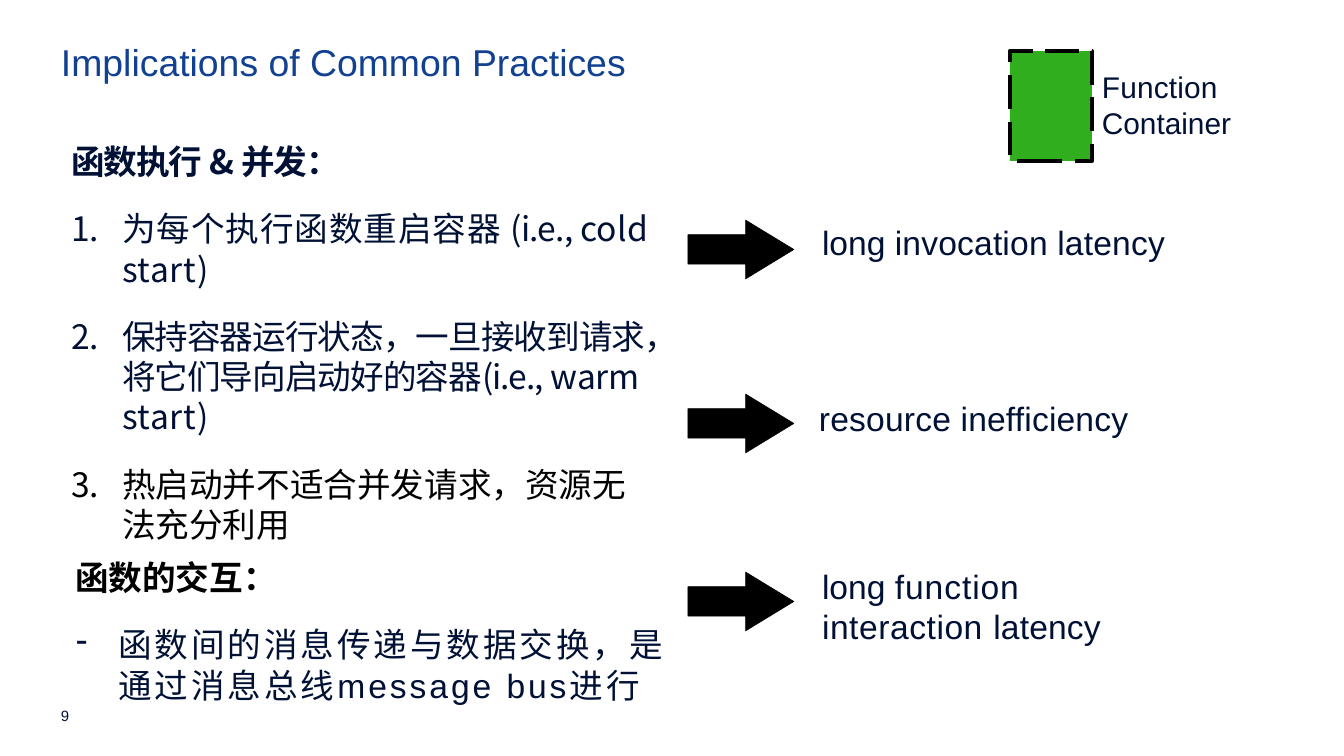
from dataclasses import dataclass

from lxml.etree import SubElement
from pptx import Presentation
from pptx.dml.color import RGBColor as Rgb
from pptx.enum.dml import MSO_LINE_DASH_STYLE as Dash
from pptx.enum.shapes import MSO_SHAPE as Kind
from pptx.oxml.ns import qn
from pptx.util import Pt

SCALE = 914400 / 134.4


def px(num):
    """Turn px into EMU."""
    return round(num * SCALE)


@dataclass(frozen=True)
class Theme:
    """Colours, fonts and type sizes."""
    ink: str = "001135"
    blue: str = "124191"
    green: str = "31AE1D"
    black: str = "000000"
    sans: str = "Arial"
    cjk: str = "Noto Sans CJK SC"
    head: int = 20
    body: int = 18
    label: int = 16
    foot: int = 8
    gap: float = 14.4
    lead: float = 1.2


class Page:
    """Holds the theme and the slide being built."""

    def __init__(self, slide, theme):
        """Keep the slide and its theme."""
        self.slide, self.theme = slide, theme

    def box(self, x, y, w, h):
        """Add an empty text box and return its frame."""
        frame = self.slide.shapes.add_textbox(px(x), px(y), px(w), px(h)).text_frame
        frame.word_wrap = True
        frame.margin_left = frame.margin_right = frame.margin_bottom = 0
        frame.margin_top = px(3)
        return frame

    def para(self, frame, runs, size=None, tint=None, font=None, bold=False,
             mark=None, left=1, hang=0, right=0):
        """Add one paragraph of (text, spacing) runs."""
        theme = self.theme
        size = size or theme.body
        first = not frame.paragraphs[0].runs
        par = frame.paragraphs[0] if first else frame.add_paragraph()
        par.line_spacing = Pt(size * theme.lead)
        par.space_before = Pt(0 if first else theme.gap)
        prop = par._p.get_or_add_pPr()
        prop.set("marL", str(px(left)))
        prop.set("marR", str(px(right)))
        prop.set("indent", str(px(-hang)))
        if mark == "1.":
            SubElement(prop, qn("a:buAutoNum"), type="arabicPeriod")
        elif mark:
            SubElement(prop, qn("a:buChar"), char=mark)
        for text, space in runs:
            run = par.add_run()
            run.text = text
            face = run.font
            face.size, face.bold = Pt(size), bold
            face.name = font or theme.sans
            face.color.rgb = Rgb.from_string(tint or theme.ink)
            code = run._r.get_or_add_rPr()
            code.set("spc", str(round(space * 100)))
            SubElement(code, qn("a:ea"), typeface=theme.cjk)

    def line(self, x, y, w, h, runs, **look):
        """Add a text box with one paragraph."""
        self.para(self.box(x, y, w, h), runs, **look)

    def shape(self, kind, x, y, w, h, fill, width):
        """Add a filled shape with a black outline."""
        item = self.slide.shapes.add_shape(kind, px(x), px(y), px(w), px(h))
        item.shadow.inherit = False
        item.fill.solid()
        item.fill.fore_color.rgb = Rgb.from_string(fill)
        item.line.color.rgb = Rgb.from_string(self.theme.black)
        item.line.width = Pt(width)
        return item

    def arrow(self, y):
        """Add a block arrow at the given height."""
        item = self.shape(Kind.RIGHT_ARROW, 688, y, 106, 59, self.theme.black, 0.25)
        item.adjustments[0], item.adjustments[1] = 0.5, 0.82


def main():
    """Build and save the slide."""
    deck = Presentation()
    deck.slide_width, deck.slide_height = px(1344), px(756)
    theme = Theme()
    page = Page(deck.slides.add_slide(deck.slide_layouts[6]), theme)

    page.line(60, 36, 781, 47, [("Implications of Common Practices", 0)],
              size=theme.head, tint=theme.blue)
    crate = page.shape(Kind.RECTANGLE, 1010, 51, 82, 110, theme.green, 2.28)
    crate.line.dash_style = Dash.LONG_DASH
    page.line(1101, 66, 134, 75, [("Function ", 0.1), ("Container", 0)],
              size=theme.label)

    frame = page.box(70, 138, 593, 407)
    page.para(frame, [("函数执行 ", -0.5), ("& ", -0.1), ("并发：", -0.7)],
              font=theme.cjk, bold=True)
    steps = [
        ([("为每个执行函数重启容器 ", 0.5), ("(i.e., ", -0.4), ("cold ", 0.1),
          ("start)", 0.4)], theme.ink, 0),
        ([("保持容器运行状态，一旦接收到请求，将它们导向启动好的容器(i.e., ", -0.5),
          ("warm ", -0.1), ("start)", 0.4)], theme.ink, 15),
        ([("热启动并不适合并发请求，资源无法充分利用", 0)], theme.black, 15),
    ]
    for runs, tint, right in steps:
        page.para(frame, runs, tint=tint, font=theme.cjk, mark="1.",
                  left=52, hang=51, right=right)

    costs = [
        (220, 821, 219, 348, 44, [("long ", 0), ("invocation latency", 0.1)]),
        (394, 818, 395, 315, 44, [("resource inefficiency", 0.1)]),
        (572, 821, 563, 284, 85, [("long ", 0), ("function ", 0.5),
                                  ("interaction ", 0.3), ("latency", 0.1)]),
    ]
    for top, x, y, w, h, runs in costs:
        page.arrow(top)
        page.line(x, y, w, h, runs)

    frame = page.box(74, 554, 598, 150)
    page.para(frame, [("函数的交互：", 0)], tint=theme.black, bold=True)
    page.para(frame, [("函数间的消息传递与数据交换，是通过消息总线message bus进行", 1.6)],
              mark="-", left=44, hang=42)
    page.line(56, 704, 30, 23, [("9", 0.3)], size=theme.foot, left=5)
    deck.save("out.pptx")


if __name__ == "__main__":
    main()
